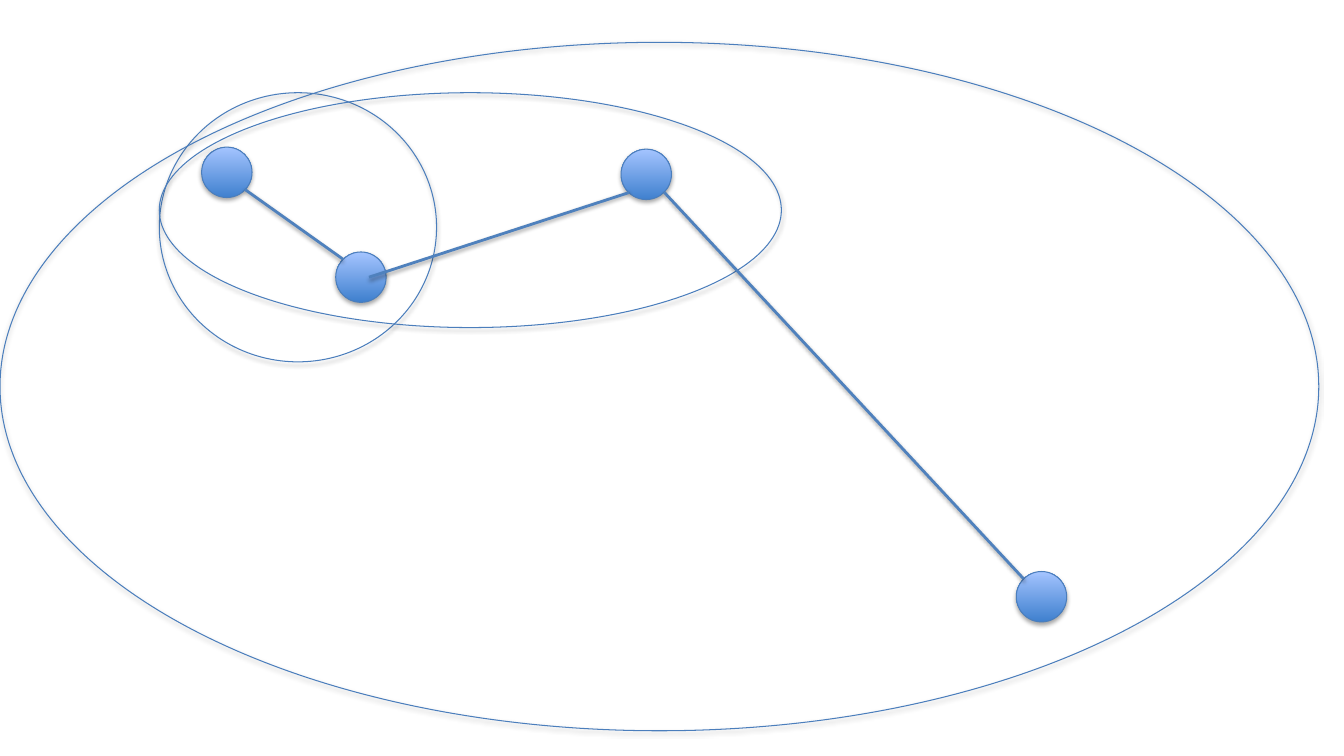
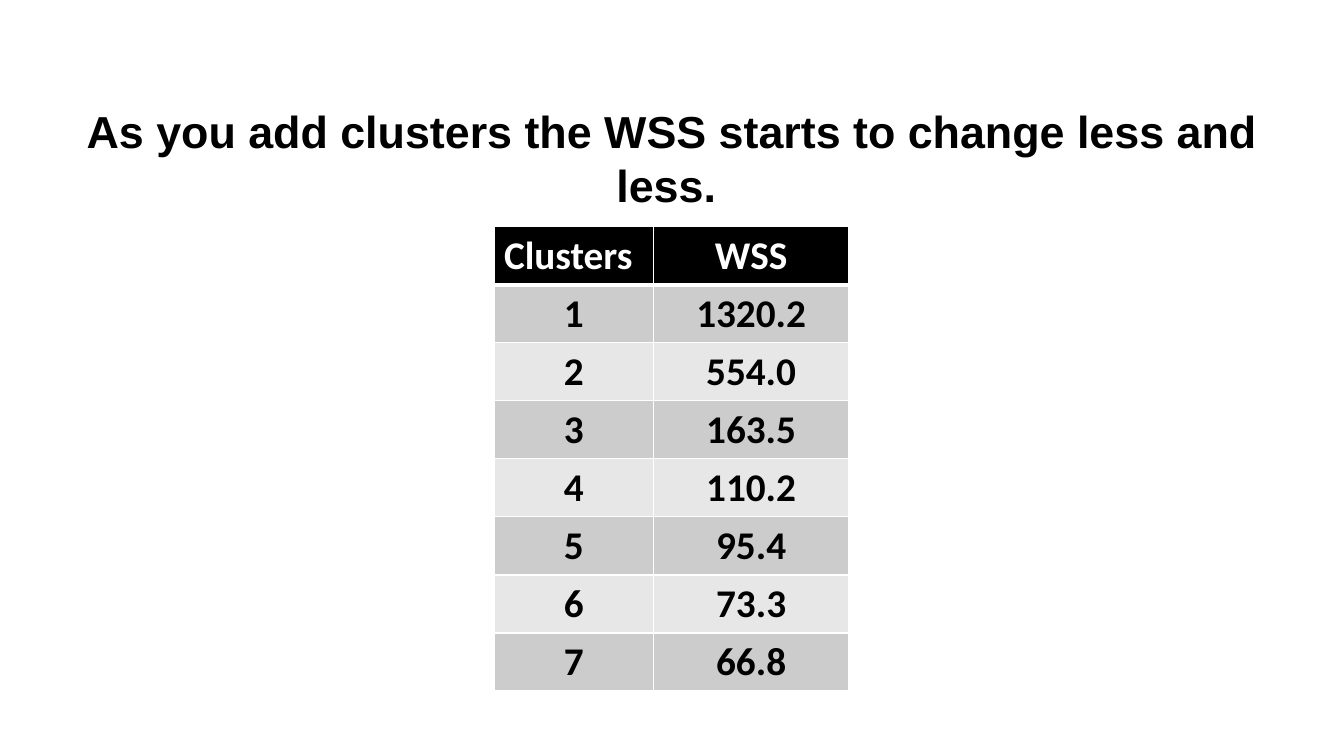
import pptx
import pptx.dml.color
import pptx.enum.shapes
import pptx.enum.text
import pptx.oxml
import pptx.oxml.ns
import pptx.util

PX = 9144  # EMU in one px, at 100 px to the inch
COLORS = {
    "outline": "4B7EBC",
    "link": "4F81BD",
    "node_bottom": "3F80CE",
    "node_top": "A4C4FF",
    "black": "000000",
    "white": "FFFFFF",
    "band_dark": "CCCCCC",
    "band_light": "E7E7E7",
}
RGB = {name: pptx.dml.color.RGBColor.from_string(value) for name, value in COLORS.items()}
NAMESPACE = pptx.oxml.ns.nsdecls("a")
CENTER = pptx.enum.text.PP_ALIGN.CENTER


def style_outline(shape, color, width, distance, alpha):
    """Set the line of a shape or connector and drop a soft shadow straight below it."""
    shape.line.color.rgb = RGB[color]
    shape.line.width = pptx.util.Pt(width)
    shape._element.spPr.append(pptx.oxml.parse_xml(
        f'<a:effectLst {NAMESPACE}>'
        f'<a:outerShdw blurRad="40000" dist="{distance}" dir="5400000" rotWithShape="0">'
        f'<a:srgbClr val="{COLORS["black"]}"><a:alpha val="{alpha}"/></a:srgbClr>'
        f'</a:outerShdw></a:effectLst>'))


def set_borders(cell, top, bottom):
    """Give a cell white borders, 1 pt at the sides and the given points above and below."""
    widths = {"lnL": 1, "lnR": 1, "lnT": top, "lnB": bottom}
    properties = cell._tc.get_or_add_tcPr()
    for index, (tag, width) in enumerate(widths.items()):
        properties.insert(index, pptx.oxml.parse_xml(
            f'<a:{tag} {NAMESPACE} w="{pptx.util.Pt(width)}"><a:solidFill>'
            f'<a:srgbClr val="{COLORS["white"]}"/></a:solidFill></a:{tag}>'))


deck = pptx.Presentation()
deck.slide_width = 1333 * PX
deck.slide_height = 750 * PX

# Slide 1: nested clusters
page = deck.slides.add_slide(deck.slide_layouts[6])
OVAL = pptx.enum.shapes.MSO_SHAPE.OVAL

NODE_SIZE = 50
for left, top in [(200, 146), (616, 148), (333, 250), (1008, 567)]:
    node = page.shapes.add_shape(OVAL, left * PX, top * PX, NODE_SIZE * PX, NODE_SIZE * PX)
    node.fill.gradient()
    node.fill.gradient_angle = 90
    for stop, color in zip(node.fill.gradient_stops, ["node_bottom", "node_top"]):
        stop.color.rgb = RGB[color]
    for stop, position in zip(node.fill.gradient_stops, [0, 1]):
        stop.position = position
    style_outline(node, "outline", 0.75, 23000, 35000)

for bounds in [(158, 92, 275, 267), (158, 92, 617, 233), (0, 42, 1308, 683)]:
    cluster = page.shapes.add_shape(OVAL, *[length * PX for length in bounds])
    cluster.fill.background()
    style_outline(cluster, "outline", 0.75, 23000, 35000)

for ends in [(366, 275, 624, 191), (243, 188, 340, 257), (659, 191, 1015, 574)]:
    link = page.shapes.add_connector(
        pptx.enum.shapes.MSO_CONNECTOR.STRAIGHT, *[length * PX for length in ends])
    style_outline(link, "link", 2, 20000, 38000)

# Slide 2: WSS by number of clusters
page = deck.slides.add_slide(deck.slide_layouts[5])
title = page.shapes.title
title.left, title.top, title.width, title.height = 67 * PX, 98 * PX, 1200 * PX, 117 * PX
title.text_frame.text = "As you add clusters the WSS starts to change less and less. "
title.text_frame.auto_size = pptx.enum.text.MSO_AUTO_SIZE.NONE
title.text_frame.vertical_anchor = pptx.enum.text.MSO_ANCHOR.MIDDLE
paragraph = title.text_frame.paragraphs[0]
paragraph.alignment = CENTER
font = paragraph.runs[0].font
font.name = "Arial"
font.size = pptx.util.Pt(32)
font.bold = True
font.color.rgb = RGB["black"]

WSS = ["1320.2", "554.0", "163.5", "110.2", "95.4", "73.3", "66.8"]
rows = [("Clusters", "WSS")] + [(str(count), value) for count, value in enumerate(WSS, 1)]
COLUMN_WIDTHS = [158, 194]
ROW_HEIGHT = 57
table = page.shapes.add_table(
    len(rows), len(COLUMN_WIDTHS), 490 * PX, 225 * PX,
    sum(COLUMN_WIDTHS) * PX, len(rows) * ROW_HEIGHT * PX).table
for column, width in zip(table.columns, COLUMN_WIDTHS):
    column.width = width * PX

for row_index, row in enumerate(rows):
    header = row_index == 0
    band = "black" if header else ["band_light", "band_dark"][row_index % 2]
    for column_index, text in enumerate(row):
        cell = table.cell(row_index, column_index)
        cell.fill.solid()
        cell.fill.fore_color.rgb = RGB[band]
        set_borders(cell, 3 if row_index == 1 else 1, 3 if header else 1)
        cell.text_frame.text = text
        paragraph = cell.text_frame.paragraphs[0]
        if text != "Clusters":
            paragraph.alignment = CENTER
        font = paragraph.runs[0].font
        font.name = "Calibri"
        font.size = pptx.util.Pt(28)
        font.bold = True
        font.color.rgb = RGB["white" if header else "black"]

deck.save("out.pptx")
